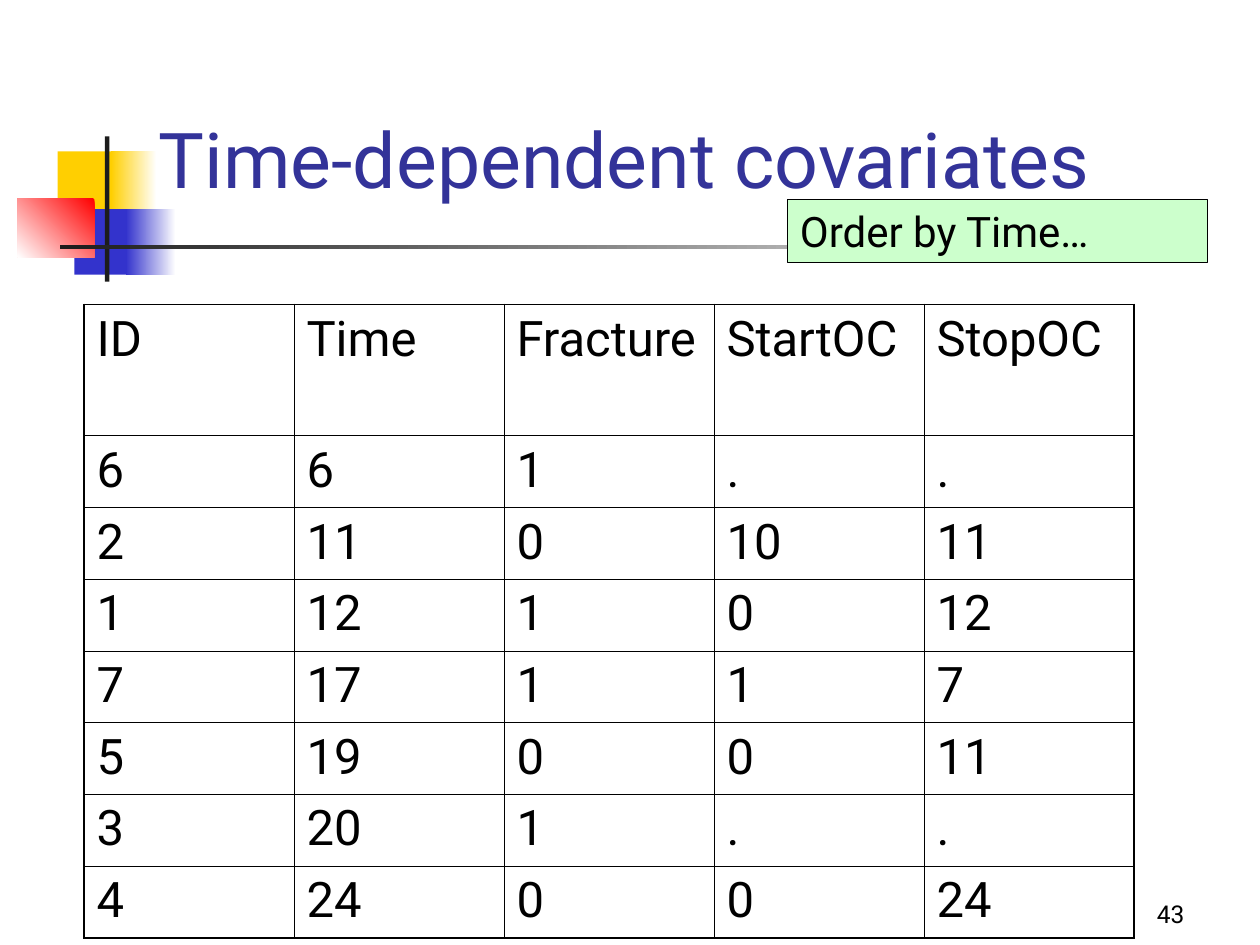
from lxml.etree import SubElement
from pptx import Presentation
from pptx.dml.color import RGBColor
from pptx.enum.shapes import MSO_SHAPE
from pptx.enum.text import MSO_ANCHOR, PP_ALIGN
from pptx.oxml.ns import qn
from pptx.util import Pt

FONT = "Roboto"
BLACK, WHITE, CHARCOAL = "000000", "FFFFFF", "1C1C1C"
YELLOW, BLUE, RED = "FFCF01", "3333CC", "FF0000"
OUTER_BORDER, INNER_BORDER = 1.08, 0.45

ROWS = [
    ["ID", "Time", "Fracture", "StartOC", "StopOC"],
    ["6", "6", "1", ".", "."],
    ["2", "11", "0", "10", "11"],
    ["1", "12", "1", "0", "12"],
    ["7", "17", "1", "1", "7"],
    ["5", "19", "0", "0", "11"],
    ["3", "20", "1", ".", "."],
    ["4", "24", "0", "0", "24"],
]


def color(value):
    return RGBColor.from_string(value)


def write_text(text_frame, text, size, fill=BLACK, align=PP_ALIGN.LEFT,
               anchor=MSO_ANCHOR.TOP):
    text_frame.word_wrap = True
    text_frame.vertical_anchor = anchor
    paragraph = text_frame.paragraphs[0]
    paragraph.text = text
    paragraph.alignment = align
    font = paragraph.font
    font.name, font.size, font.bold = FONT, Pt(size), False
    font.color.rgb = color(fill)


def add_rectangle(slide, left, top, width, height, fill, line=None):
    shape = slide.shapes.add_shape(MSO_SHAPE.RECTANGLE, Pt(left), Pt(top),
                                   Pt(width), Pt(height))
    shape.shadow.inherit = False
    shape.fill.solid()
    shape.fill.fore_color.rgb = color(fill)
    if line:
        shape.line.color.rgb = color(line)
        shape.line.width = Pt(0.75)
    else:
        shape.line.fill.background()
    return shape


def add_fade(slide, left, top, width, height, start, end, angle=180):
    shape = add_rectangle(slide, left, top, width, height, start)
    shape.fill.gradient()
    shape.fill.gradient_angle = angle
    for stop, value in zip(shape.fill.gradient_stops, (start, end)):
        stop.color.rgb = color(value)


def add_decoration(slide):
    # Coloured squares
    add_rectangle(slide, 33, 86.5, 34.5, 37.5, YELLOW)
    add_fade(slide, 63.5, 86.5, 26, 37.5, WHITE, YELLOW)
    add_rectangle(slide, 42.5, 119.5, 33, 37.5, BLUE)
    add_fade(slide, 72, 119.5, 28.5, 37.5, WHITE, BLUE)
    add_fade(slide, 10, 113.5, 44, 33.5, RED, WHITE, angle=225)
    # Crossing bars
    add_rectangle(slide, 60, 78, 2.5, 83, CHARCOAL)
    add_fade(slide, 34.5, 140, 648, 2.5, WHITE, CHARCOAL)


def add_title(slide, text):
    title = slide.shapes.title
    title.left, title.top = Pt(83.5), Pt(60)
    title.width, title.height = Pt(579), Pt(60.5)
    write_text(title.text_frame, text, size=44, fill="333399")


def set_borders(cell, **widths):
    properties = cell._tc.get_or_add_tcPr()
    for side, width in widths.items():
        line = SubElement(properties, qn(f"a:ln{side}"), w=str(Pt(width)))
        fill = SubElement(line, qn("a:solidFill"))
        SubElement(fill, qn("a:srgbClr"), val=BLACK)


def add_data_table(slide, rows):
    row_count, column_count = len(rows), len(rows[0])
    header_height, row_height, column_width = 75, 41, 120
    table = slide.shapes.add_table(
        row_count, column_count, Pt(48), Pt(174),
        Pt(column_width * column_count),
        Pt(header_height + row_height * (row_count - 1))).table
    table.first_row = table.horz_banding = False
    for column in table.columns:
        column.width = Pt(column_width)

    def border(is_edge):
        return OUTER_BORDER if is_edge else INNER_BORDER

    for r, values in enumerate(rows):
        table.rows[r].height = Pt(row_height if r else header_height)
        for c, value in enumerate(values):
            cell = table.cell(r, c)
            set_borders(cell, L=border(c == 0), R=border(c == column_count - 1),
                        T=border(r == 0), B=border(r == row_count - 1))
            cell.fill.background()
            write_text(cell.text_frame, value, size=28)


def add_page_number(slide, number):
    box = slide.shapes.add_textbox(Pt(534), Pt(498), Pt(150), Pt(36))
    write_text(box.text_frame, number, size=14, align=PP_ALIGN.RIGHT,
               anchor=MSO_ANCHOR.BOTTOM)


def main():
    presentation = Presentation()
    presentation.slide_width, presentation.slide_height = Pt(720), Pt(540)
    slide = presentation.slides.add_slide(presentation.slide_layouts[5])

    add_decoration(slide)
    add_title(slide, "Time-dependent covariates")
    add_page_number(slide, "43")
    add_data_table(slide, ROWS)

    # Callout over the title bar
    callout = add_rectangle(slide, 450, 114, 240, 36, "CCFFCC", line=BLACK)
    write_text(callout.text_frame, "Order by Time…", size=24)

    presentation.save("out.pptx")


if __name__ == "__main__":
    main()
